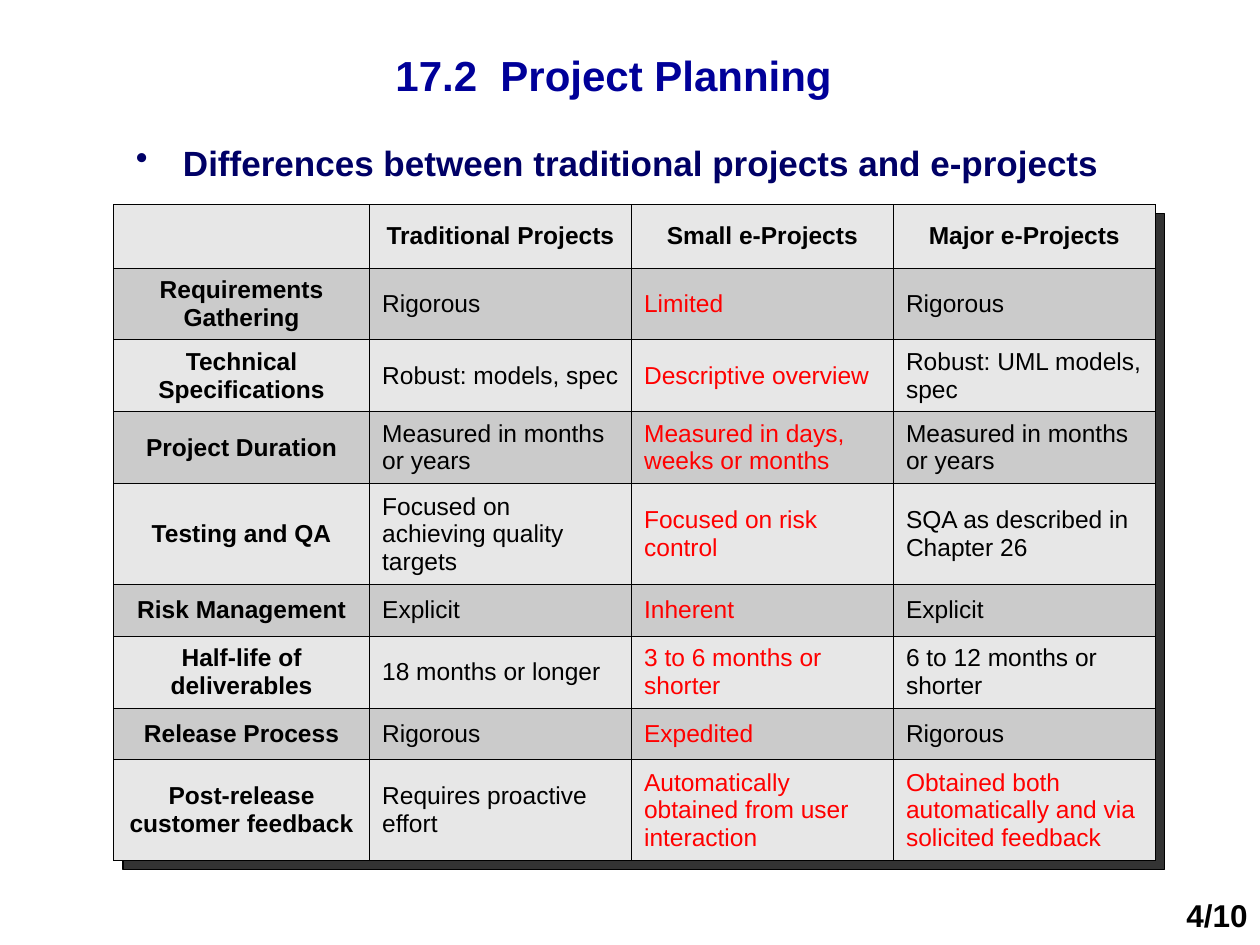
"""Build the project planning slide with its comparison table."""
from dataclasses import dataclass

from lxml import etree
from pptx import Presentation
from pptx.dml.color import RGBColor
from pptx.enum.shapes import MSO_SHAPE
from pptx.enum.text import MSO_ANCHOR, PP_ALIGN
from pptx.oxml.ns import qn
from pptx.util import Cm, Pt

RECTANGLE = MSO_SHAPE.RECTANGLE
TOP, MIDDLE = MSO_ANCHOR.TOP, MSO_ANCHOR.MIDDLE
LEFT, CENTER, RIGHT = PP_ALIGN.LEFT, PP_ALIGN.CENTER, PP_ALIGN.RIGHT

FONT = "Arial"
BLACK = RGBColor(0x00, 0x00, 0x00)
RED = RGBColor(0xFF, 0x00, 0x00)
BLUE = RGBColor(0x00, 0x00, 0x99)
NAVY = RGBColor(0x00, 0x00, 0x66)
SHADOW_GRAY = RGBColor(0x33, 0x33, 0x33)
LIGHT_GRAY = RGBColor(0xE7, 0xE7, 0xE7)
MID_GRAY = RGBColor(0xCB, 0xCB, 0xCB)

TABLE_LEFT, TABLE_TOP = 2.29, 4.12
SHADOW_OFFSET = 0.19
COLUMN_WIDTHS = [5.16, 5.28, 5.28, 5.28]
SMALL_COLUMN = 2
BORDER_WIDTH = Pt(0.45)


@dataclass
class Row:
    height: float
    cells: tuple[str, str, str, str]
    red_columns: tuple[int, ...] = (SMALL_COLUMN,)


@dataclass
class Label:
    text: str
    left: float
    top: float
    width: float
    height: float
    size: float
    color: RGBColor
    align: PP_ALIGN
    anchor: MSO_ANCHOR = TOP
    bullet: bool = False


ROWS = [
    Row(1.28, ("", "Traditional Projects", "Small e-Projects", "Major e-Projects"), ()),
    Row(1.45, ("Requirements Gathering", "Rigorous", "Limited", "Rigorous")),
    Row(1.45, ("Technical Specifications", "Robust: models, spec",
               "Descriptive overview", "Robust: UML models, spec")),
    Row(1.45, ("Project Duration", "Measured in months or years",
               "Measured in days, weeks or months", "Measured in months or years")),
    Row(2.03, ("Testing and QA", "Focused on achieving quality targets",
               "Focused on risk control", "SQA as described in Chapter 26")),
    Row(1.04, ("Risk Management", "Explicit", "Inherent", "Explicit")),
    Row(1.45, ("Half-life of deliverables", "18 months or longer",
               "3 to 6 months or shorter", "6 to 12 months or shorter")),
    Row(1.04, ("Release Process", "Rigorous", "Expedited", "Rigorous")),
    Row(2.03, ("Post-release customer feedback", "Requires proactive effort",
               "Automatically obtained from user interaction",
               "Obtained both automatically and via solicited feedback"),
        (SMALL_COLUMN, 3)),
]

TITLE = Label("17.2  Project Planning ", 2.29, 0.33, 20.4, 2.36, 24, BLUE, CENTER, MIDDLE)
PAGE_NUMBER = Label("4/10", 23.11, 17.93, 2.29, 1.02, 18, BLACK, RIGHT)
HEADING = Label("Differences between traditional projects and e-projects",
                2.49, 2.72, 20.19, 1.8, 20, NAVY, LEFT, bullet=True)


def write_text(para, text: str, *, size: float, color: RGBColor,
               align: PP_ALIGN = LEFT, bold: bool = False) -> None:
    para.alignment = align
    span = para.add_run()
    span.text = text
    span.font.name = FONT
    span.font.size = Pt(size)
    span.font.bold = bold
    span.font.color.rgb = color


def add_bullet(para, color: RGBColor) -> None:
    properties = para._p.get_or_add_pPr()
    properties.set("marL", str(Cm(0.95)))
    properties.set("indent", str(-Cm(0.95)))
    bullet_color = etree.SubElement(properties, qn("a:buClr"))
    etree.SubElement(bullet_color, qn("a:srgbClr"), val=str(color))
    etree.SubElement(properties, qn("a:buChar"), char="•")


def add_label(page, label: Label) -> None:
    box = page.shapes.add_textbox(
        Cm(label.left), Cm(label.top), Cm(label.width), Cm(label.height))
    frame = box.text_frame
    frame.word_wrap = True
    frame.vertical_anchor = label.anchor
    para = frame.paragraphs[0]
    if label.bullet:
        add_bullet(para, label.color)
    write_text(para, label.text, size=label.size, color=label.color,
               align=label.align, bold=True)


def add_borders(cell) -> None:
    properties = cell._tc.get_or_add_tcPr()
    for side in ("lnL", "lnR", "lnT", "lnB"):
        line = etree.SubElement(properties, qn(f"a:{side}"), w=str(BORDER_WIDTH))
        fill = etree.SubElement(line, qn("a:solidFill"))
        etree.SubElement(fill, qn("a:srgbClr"), val=str(BLACK))


def add_table_shadow(page, width: float, height: float) -> None:
    shadow = page.shapes.add_shape(
        RECTANGLE, Cm(TABLE_LEFT + SHADOW_OFFSET), Cm(TABLE_TOP + SHADOW_OFFSET),
        Cm(width), Cm(height))
    shadow.shadow.inherit = False
    shadow.fill.solid()
    shadow.fill.fore_color.rgb = SHADOW_GRAY
    shadow.line.color.rgb = BLACK
    shadow.line.width = Pt(0.75)


def add_comparison(page, rows: list[Row]) -> None:
    width, height = sum(COLUMN_WIDTHS), sum(row.height for row in rows)
    add_table_shadow(page, width, height)
    table = page.shapes.add_table(
        len(rows), len(COLUMN_WIDTHS), Cm(TABLE_LEFT), Cm(TABLE_TOP),
        Cm(width), Cm(height)).table
    table.first_row = False
    table.horz_banding = False
    for column, column_width in zip(table.columns, COLUMN_WIDTHS):
        column.width = Cm(column_width)
    for row_index, row in enumerate(rows):
        table.rows[row_index].height = Cm(row.height)
        for column_index, text in enumerate(row.cells):
            cell = table.cell(row_index, column_index)
            add_borders(cell)
            cell.fill.solid()
            cell.fill.fore_color.rgb = MID_GRAY if row_index % 2 else LIGHT_GRAY
            cell.vertical_anchor = MIDDLE
            header = row_index == 0 or column_index == 0
            if text:
                write_text(cell.text_frame.paragraphs[0], text, size=14,
                           color=RED if column_index in row.red_columns else BLACK,
                           align=CENTER if header else LEFT, bold=header)


def main() -> None:
    deck = Presentation()
    deck.slide_width, deck.slide_height = Cm(25.4), Cm(19.05)
    page = deck.slides.add_slide(deck.slide_layouts[6])
    add_label(page, TITLE)
    add_label(page, PAGE_NUMBER)
    add_comparison(page, ROWS)
    add_label(page, HEADING)
    deck.save("out.pptx")


if __name__ == "__main__":
    main()
